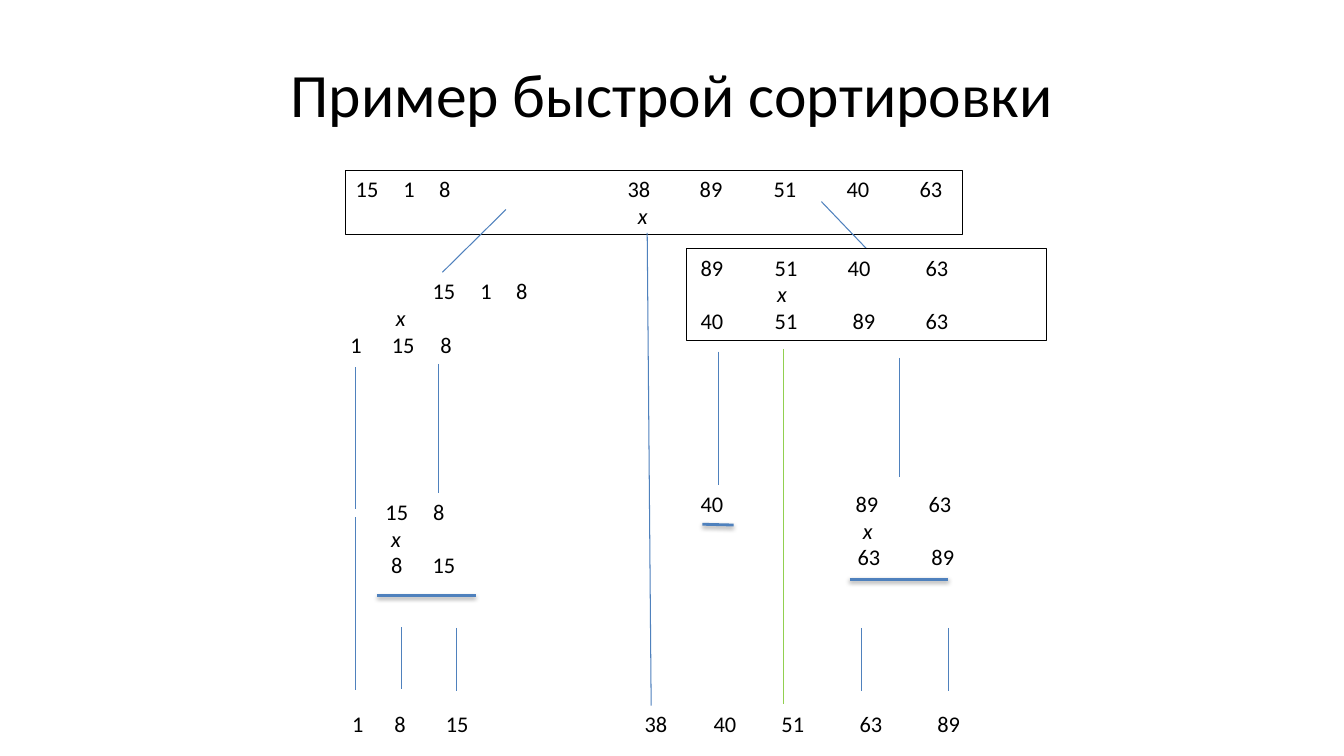
import pptx
import pptx.dml.color
import pptx.enum.shapes
import pptx.enum.text
import pptx.oxml
import pptx.oxml.ns
import pptx.util
from lxml import etree

Cm = pptx.util.Cm
BLACK = "000000"
BLUE = "4F81BD"
GREEN = "92D050"
FONT = "Calibri"
INSET = 0.25


def color(value):
    return pptx.dml.color.RGBColor.from_string(value)


def format_runs(paragraph, size, italic=False):
    for run in paragraph.runs:
        run.font.name = FONT
        run.font.size = pptx.util.Pt(size)
        run.font.italic = italic
        run.font.color.rgb = color(BLACK)


def add_centered_tabs(paragraph, positions):
    properties = paragraph._p.get_or_add_pPr()
    tab_list = etree.SubElement(properties, pptx.oxml.ns.qn("a:tabLst"))
    for position in positions:
        tab = etree.SubElement(tab_list, pptx.oxml.ns.qn("a:tab"))
        tab.set("pos", str(int(Cm(position))))
        tab.set("algn", "ctr")


def add_title(slide, box, text):
    shape = slide.shapes.add_textbox(*map(Cm, box))
    text_frame = shape.text_frame
    text_frame.word_wrap = True
    text_frame.vertical_anchor = pptx.enum.text.MSO_ANCHOR.MIDDLE
    text_frame.text = text
    paragraph = text_frame.paragraphs[0]
    paragraph.alignment = pptx.enum.text.PP_ALIGN.CENTER
    format_runs(paragraph, 44)


def add_line(slide, box, ends, line_color=BLUE, width=0.75, shadow=False):
    left, top = box[:2]
    start_x, start_y, end_x, end_y = ends
    connector = slide.shapes.add_connector(
        pptx.enum.shapes.MSO_CONNECTOR.STRAIGHT,
        Cm(left + start_x), Cm(top + start_y), Cm(left + end_x), Cm(top + end_y))
    connector.line.color.rgb = color(line_color)
    connector.line.width = pptx.util.Pt(width)
    properties = connector._element.spPr
    effects = etree.SubElement(properties, pptx.oxml.ns.qn("a:effectLst"))
    if shadow:
        effects.append(pptx.oxml.parse_xml(
            f'<a:outerShdw {pptx.oxml.ns.nsdecls("a")} blurRad="40000" dist="20000" '
            'dir="5400000" rotWithShape="0"><a:srgbClr val="000000">'
            '<a:alpha val="38000"/></a:srgbClr></a:outerShdw>'))


def add_step(slide, box, rows, links=(), underlines=(), outlined=False):
    shape = slide.shapes.add_textbox(*map(Cm, box))
    if outlined:
        shape.line.color.rgb = color(BLACK)
        shape.line.width = pptx.util.Pt(0.75)
    text_frame = shape.text_frame
    text_frame.word_wrap = True
    text_frame.margin_left = Cm(INSET)
    for index, (text, positions) in enumerate(rows):
        paragraph = text_frame.paragraphs[0] if index == 0 else text_frame.add_paragraph()
        add_centered_tabs(paragraph, positions)
        paragraph.text = "".join("\t" + value for value in text.split())
        format_runs(paragraph, 16, italic=text == "x")
    for ends in links:
        add_line(slide, box, ends)
    for ends in underlines:
        add_line(slide, box, ends, width=2, shadow=True)


def add_start(slide, box):
    rows = [("15 1 8 38 89 51 40 63", [0.29, 1.35, 2.25, 7.14, 8.96, 10.82, 12.66, 14.5]),
            ("x", [7.24])]
    links = [(7.6, 1.58, 7.7, 13.49), (4.04, 0.99, 2.44, 2.57), (11.99, 0.79, 13.13, 1.98)]
    add_step(slide, box, rows, links, outlined=True)


def add_left_part(slide, box):
    rows = [("15 1 8", [5.53, 6.59, 7.49]), ("x", [4.44]), ("1 15 8", [3.31, 4.5, 5.58])]
    links = [(5.64, 2.31, 5.64, 5.56), (3.56, 2.39, 3.56, 5.97)]
    add_step(slide, box, rows, links)


def add_right_part(slide, box):
    rows = [("89 51 40 63", [0.39, 2.26, 4.1, 6.06]), ("x", [2.16]),
            ("40 51 89 63", [0.39, 2.26, 4.22, 6.06])]
    links = [(0.81, 2.59, 0.81, 5.95), (5.36, 2.75, 5.36, 5.74)]
    add_step(slide, box, rows, links, outlined=True)
    add_line(slide, box, (2.44, 2.52, 2.44, 11.46), GREEN)


def add_left_pair(slide, box):
    rows = [("15 8", [3.96, 5.02]), ("x", [3.94]), ("8 15", [3.96, 5.15])]
    links = [(3.18, 0.61, 3.18, 4.98), (4.32, 3.38, 4.32, 4.95), (5.72, 3.4, 5.72, 5)]
    add_step(slide, box, rows, links, [(3.71, 2.59, 6.2, 2.59)])


def add_right_pair(slide, box):
    rows = [("40 89 63", [0.39, 4.3, 6.14]), ("x", [4.32]), ("63 89", [4.35, 6.21])]
    links = [(x, 3.6, x, 5.2) for x in (4.42, 6.6)]
    add_step(slide, box, rows, links, [(0.4, 0.99, 1.19, 1.01), (4.11, 2.38, 6.6, 2.38)])


def add_result(slide, box):
    positions = [3.18, 4.24, 5.68, 10.69, 12.43, 14.14, 16.11, 18.07]
    add_step(slide, box, [("1 8 15 38 40 51 63 89", positions)])


def main():
    presentation = pptx.Presentation()
    presentation.slide_width = Cm(33.87)
    presentation.slide_height = Cm(19.05)
    slide = presentation.slides.add_slide(presentation.slide_layouts[6])
    add_title(slide, (1.7, 0.76, 30.48, 3.18), "Пример быстрой сортировки")
    add_start(slide, (8.71, 4.29, 15.54, 1.63))
    add_left_part(slide, (5.41, 6.86, 9.73, 2.31))
    add_right_part(slide, (17.3, 6.27, 9.07, 2.31))
    add_left_pair(slide, (5.79, 12.42, 10.52, 2.31))
    add_right_pair(slide, (17.3, 12.22, 11.84, 2.31))
    add_result(slide, (5.59, 17.78, 23.42, 0.94))
    presentation.save("out.pptx")


if __name__ == "__main__":
    main()
